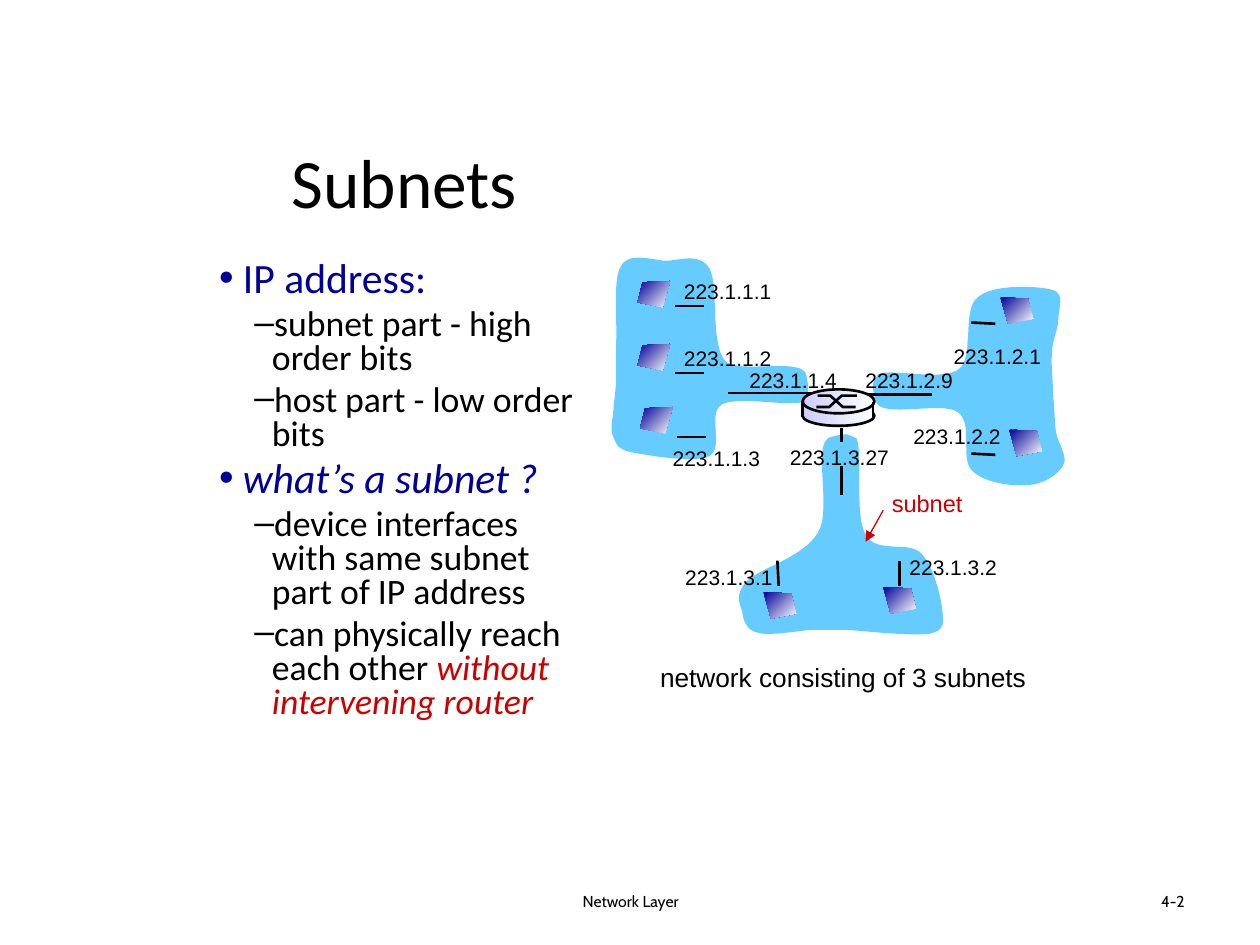
"""Build the Subnets slide: address notes beside a diagram of three subnets."""
from dataclasses import dataclass
from typing import NamedTuple, Optional

from lxml.etree import SubElement
from pptx import Presentation
from pptx.dml.color import RGBColor
from pptx.enum.shapes import MSO_CONNECTOR, MSO_SHAPE as Preset
from pptx.enum.text import MSO_ANCHOR as Anchor, PP_ALIGN as Align
from pptx.oxml.ns import qn
from pptx.util import Cm, Pt

Point = tuple[float, float]


@dataclass(frozen=True)
class Theme:
    """Colours, fonts and type sizes."""
    ink: str = "000000"
    navy: str = "000099"
    red: str = "CC0000"
    sky: str = "66CCFF"
    lilac: str = "CCCCFF"
    white: str = "FFFFFF"
    body_font: str = "Calibri"
    label_font: str = "Arial"
    footer_font: str = "Cabin"
    title: float = 39.6
    topic: float = 23.8
    detail: float = 20.4
    caption: float = 15
    tag: float = 13.5
    address: float = 12
    footer: float = 9
    stroke: float = 1.5


class Box(NamedTuple):
    """Left, top, width and height in inches."""
    left: float
    top: float
    width: float
    height: float


class Note(NamedTuple):
    """One bulleted paragraph, with an optional emphasised ending."""
    text: str
    is_topic: bool = False
    italic: bool = False
    ending: str = ""


class Host(NamedTuple):
    """Corner of a host icon and the way it leans."""
    left: float
    top: float
    mirrored: bool = False


class Link(NamedTuple):
    """A straight line between two points."""
    start: Point
    end: Point


class Address(NamedTuple):
    """An interface address and the corner of its label."""
    text: str
    left: float
    top: float
    width: float = 0.9


T = Theme()
FOOTERS = [("Network Layer", Box(3.42, 6.95, 3.17, 0.4), Align.CENTER),
           ("4-2", Box(7.17, 6.95, 2.33, 0.4), Align.RIGHT)]
NOTES = [
    Note("IP address:", True), Note("subnet part - high order bits"), Note("host part - low order bits"),
    Note("what’s a subnet ?", True, True), Note("device interfaces with same subnet part of IP address"),
    Note("can physically reach each other ", ending="without intervening router"),
]
CLOUDS: list[list[Point]] = [
    [(6.4, 2.98), (6.38, 2.83), (5.88, 2.97), (5.76, 2.87), (5.63, 2.73), (5.71, 2.27), (5.63, 2.13),
     (5.55, 2), (5.39, 2.07), (5.28, 2.07), (5.16, 2.06), (4.99, 2), (4.93, 2.11), (4.86, 2.21),
     (4.9, 2.56), (4.89, 2.71), (4.89, 2.85), (4.89, 2.89), (4.89, 2.98), (4.89, 3.06), (4.88, 3.14),
     (4.87, 3.22), (4.87, 3.3), (4.84, 3.39), (4.86, 3.45), (4.89, 3.51), (4.88, 3.56), (5.01, 3.59),
     (5.13, 3.61), (5.5, 3.68), (5.63, 3.62), (5.75, 3.55), (5.61, 3.28), (5.73, 3.21), (5.86, 3.14),
     (6.26, 3.23), (6.37, 3.19), (6.41, 3.12), (6.43, 3.13), (6.4, 2.98)],
    [(6.95, 3.18), (6.98, 3.33), (7.47, 3.18), (7.6, 3.27), (7.73, 3.36), (7.62, 3.63), (7.71, 3.73),
     (7.8, 3.83), (8.02, 3.86), (8.15, 3.85), (8.27, 3.85), (8.4, 3.77), (8.44, 3.69), (8.48, 3.62),
     (8.39, 3.51), (8.38, 3.42), (8.37, 3.33), (8.37, 3.26), (8.36, 3.15), (8.36, 3.05), (8.34, 2.91),
     (8.35, 2.8), (8.35, 2.7), (8.4, 2.62), (8.4, 2.53), (8.4, 2.45), (8.46, 2.33), (8.35, 2.3),
     (8.24, 2.27), (7.88, 2.25), (7.76, 2.36), (7.63, 2.46), (7.74, 2.83), (7.61, 2.93), (7.48, 3.03),
     (7.08, 2.92), (6.97, 2.97), (6.93, 3.04), (6.91, 3.03), (6.95, 3.18)],
    [(6.59, 3.47), (6.44, 3.51), (6.61, 4.05), (6.49, 4.23), (6.38, 4.42), (6.03, 4.51), (5.93, 4.61),
     (5.83, 4.71), (5.87, 4.79), (5.89, 4.85), (5.9, 4.92), (5.92, 5), (6.01, 5.02), (6.1, 5.05),
     (6.31, 5.01), (6.43, 5), (6.55, 5), (6.57, 5), (6.73, 5), (6.88, 5.01), (7.25, 5.05), (7.38, 5.03),
     (7.5, 5), (7.49, 4.95), (7.48, 4.85), (7.47, 4.74), (7.41, 4.49), (7.31, 4.39), (7.21, 4.29),
     (6.95, 4.4), (6.87, 4.24), (6.78, 4.09), (6.85, 3.61), (6.8, 3.48), (6.73, 3.45), (6.74, 3.43),
     (6.59, 3.47)],
]
LINKS = [
    Link((5.36, 2.43), (5.59, 2.43)), Link((5.36, 2.96), (5.59, 2.96)), Link((5.37, 3.47), (5.6, 3.47)),
    Link((5.78, 3.12), (6.45, 3.12)), Link((6.87, 3.13), (7.4, 3.13)), Link((7.71, 2.56), (7.9, 2.57)),
    Link((7.71, 3.6), (7.9, 3.61)), Link((6.68, 3.4), (6.68, 3.93)), Link((6.18, 4.65), (6.17, 4.45)),
    Link((7.14, 4.65), (7.14, 4.45)),
]
HOSTS = [
    Host(5.06, 2.23, True), Host(5.06, 2.73, True), Host(5.08, 3.23, True), Host(7.94, 2.36),
    Host(8.01, 3.41), Host(7.01, 4.66), Host(6.06, 4.7),
]
HOST_WIDTH = 0.26
HOST_OUTLINE: list[Point] = [(0, 0), (0.22, 0.01), (HOST_WIDTH, 0.17), (0.06, 0.21), (0, 0)]
ROUTER_BODY = [(Preset.OVAL, Box(6.37, 3.22, 0.57, 0.16), True),
               (Preset.RECTANGLE, Box(6.37, 3.2, 0.57, 0.1), False),
               (Preset.OVAL, Box(6.37, 3.09, 0.57, 0.19), True)]
ROUTER_ARMS: list[list[Point]] = [[(6.48, 3.23), (6.58, 3.23), (6.68, 3.14), (6.8, 3.14)],
                                  [(6.49, 3.14), (6.59, 3.14), (6.69, 3.23), (6.79, 3.23)]]
ROUTER_SIDES = [Link((6.37, 3.18), (6.37, 3.31)), Link((6.93, 3.19), (6.93, 3.31))]
LABEL_GAPS: list[Point] = [(5.46, 2.71), (7.68, 2.7), (7.67, 3.36), (6.57, 3.51)]
ADDRESSES = [
    Address("223.1.1.1", 5.33, 2.16), Address("223.1.1.2", 5.33, 2.69), Address("223.1.1.3", 5.24, 3.49),
    Address("223.1.1.4", 5.85, 2.87), Address("223.1.2.9", 6.77, 2.87), Address("223.1.2.1", 7.47, 2.68),
    Address("223.1.2.2", 7.15, 3.31), Address("223.1.3.27", 6.17, 3.48, 0.99),
    Address("223.1.3.1", 5.34, 4.43), Address("223.1.3.2", 7.12, 4.35),
]


def inches(value: float) -> Cm:
    """Convert inches to a length."""
    return Cm(value * 2.54)


def set_font(font, face: str, size: float, colour: Optional[str] = T.ink) -> None:
    """Apply face, size and, unless None, colour."""
    font.name, font.size = face, Pt(size)
    if colour:
        font.color.rgb = RGBColor.from_string(colour)


def paint(shape, fill: Optional[str] = None, fade: Optional[str] = None, angle: float = 0,
          outlined: bool = False) -> None:
    """Set a flat, fading or empty fill, and the outline."""
    shape.shadow.inherit = False
    if fade:
        shape.fill.gradient()
        shape.fill.gradient_angle = angle
        for stop, colour in zip(shape.fill.gradient_stops, (fill, fade)):
            stop.color.rgb = RGBColor.from_string(colour)
    elif fill:
        shape.fill.solid()
        shape.fill.fore_color.rgb = RGBColor.from_string(fill)
    else:
        shape.fill.background()
    if outlined:
        shape.line.color.rgb = RGBColor.from_string(T.ink)
        shape.line.width = Pt(T.stroke)
    else:
        shape.line.fill.background()


def add_text(shapes, text: str, box: Box, face: str, size: float, colour: str = T.ink,
             align: Align = Align.LEFT, anchor: Anchor = Anchor.TOP) -> None:
    """Add a one-line text box."""
    frame = shapes.add_textbox(*map(inches, box)).text_frame
    frame.word_wrap, frame.vertical_anchor = False, anchor
    line = frame.paragraphs[0]
    line.text, line.alignment = text, align
    set_font(line.font, face, size, colour)


def add_note(paragraph, note: Note, is_first: bool) -> None:
    """Fill one bulleted paragraph."""
    colour = T.navy if note.is_topic else T.ink
    margin, hanging = (0.19, -0.19) if note.is_topic else (0.42, -0.14)
    paragraph.level = 0 if note.is_topic else 1
    paragraph.line_spacing = 0.8
    if not is_first:
        paragraph.space_before = Pt(4.8 if note.is_topic else 4.1)
    props = paragraph._p.get_or_add_pPr()
    props.set("marL", str(inches(margin)))
    props.set("indent", str(inches(hanging)))
    SubElement(SubElement(props, qn("a:buClr")), qn("a:srgbClr"), val=colour)
    SubElement(props, qn("a:buFont"), typeface=T.label_font)
    SubElement(props, qn("a:buChar"), char="•" if note.is_topic else "–")
    size = T.topic if note.is_topic else T.detail
    set_font(paragraph.font, T.body_font, size, None if note.ending else colour)
    lead = paragraph.add_run()
    lead.text = note.text
    if note.ending:
        ending = paragraph.add_run()
        ending.text, ending.font.italic = note.ending, True
        lead.font.color.rgb = RGBColor.from_string(colour)
        ending.font.color.rgb = RGBColor.from_string(T.red)
    else:
        paragraph.font.italic = note.italic


def add_link(shapes, link: Link, colour: str = T.ink, width: float = T.stroke, arrow: bool = False) -> None:
    """Draw a straight line, with an arrowhead at its end if asked."""
    line = shapes.add_connector(MSO_CONNECTOR.STRAIGHT, *map(inches, link.start + link.end))
    line.line.color.rgb, line.line.width = RGBColor.from_string(colour), Pt(width)
    if arrow:
        SubElement(line.line._get_or_add_ln(), qn("a:tailEnd"), type="triangle")
    SubElement(line._element.spPr, qn("a:effectLst"))


def add_outline(shapes, points: list[Point], closed: bool = True):
    """Draw a polygon or an open polyline."""
    start, *rest = [(inches(x), inches(y)) for x, y in points]
    builder = shapes.build_freeform(*start)
    builder.add_line_segments(rest, close=closed)
    return builder.convert_to_shape()


def add_cloud(shapes, knots: list[Point]) -> None:
    """Draw a subnet area, turning each three segments into one Bézier curve."""
    cloud = add_outline(shapes, knots)
    segments = list(cloud._element.iter(qn("a:lnTo")))
    for first in range(0, len(knots) - 1, 3):
        bend, *others = segments[first:first + 3]
        bend.tag = qn("a:cubicBezTo")
        for other in others:
            bend.append(other[0])
            other.getparent().remove(other)
    paint(cloud, T.sky)


def add_host(shapes, host: Host) -> None:
    """Draw a leaning host icon."""
    corners = [(host.left + (HOST_WIDTH - x if host.mirrored else x), host.top + y) for x, y in HOST_OUTLINE]
    paint(add_outline(shapes, corners), T.navy, T.white, 315)


def add_router(shapes) -> None:
    """Draw the router drum with its crossed arms."""
    for preset, box, outlined in ROUTER_BODY:
        paint(shapes.add_shape(preset, *map(inches, box)), T.lilac, T.white, outlined=outlined)
    for arm in ROUTER_ARMS:
        paint(add_outline(shapes, arm, closed=False), outlined=True)
    for side in ROUTER_SIDES:
        add_link(shapes, side)


def add_title(title) -> None:
    """Place and format the slide title."""
    title.left, title.top, title.width, title.height = map(inches, Box(1.69, 1.12, 3.04, 0.63))
    title.text_frame.text = "Subnets"
    title.text_frame.vertical_anchor = Anchor.MIDDLE
    heading = title.text_frame.paragraphs[0]
    heading.alignment = Align.CENTER
    set_font(heading.font, T.body_font, T.title)


def main() -> None:
    """Build and save the slide."""
    deck = Presentation()
    deck.slide_width, deck.slide_height = inches(10), inches(7.5)
    slide = deck.slides.add_slide(deck.slide_layouts[5])
    shapes = slide.shapes
    add_title(shapes.title)
    for text, box, align in FOOTERS:
        add_text(shapes, text, box, T.footer_font, T.footer, align=align, anchor=Anchor.MIDDLE)
    body = shapes.add_textbox(*map(inches, Box(1.64, 2.03, 3.03, 3.81))).text_frame
    body.word_wrap = True
    for index, note in enumerate(NOTES):
        add_note(body.add_paragraph() if index else body.paragraphs[0], note, index == 0)
    add_text(shapes, "network consisting of 3 subnets", Box(5.14, 5.2, 3.14, 0.35), T.label_font, T.caption)
    for cloud in CLOUDS:
        add_cloud(shapes, cloud)
    for link in LINKS:
        add_link(shapes, link)
    for host in HOSTS:
        add_host(shapes, host)
    add_router(shapes)
    add_text(shapes, "subnet", Box(6.98, 3.83, 0.77, 0.33), T.label_font, T.tag, T.red)
    add_link(shapes, Link((7.01, 4.05), (6.87, 4.3)), T.red, 0.75, arrow=True)
    for left, top in LABEL_GAPS:
        paint(shapes.add_shape(Preset.RECTANGLE, *map(inches, Box(left, top, 0.24, 0.19))), T.sky)
    for address in ADDRESSES:
        box = Box(address.left, address.top, address.width, 0.3)
        add_text(shapes, address.text, box, T.label_font, T.address)
    deck.save("out.pptx")


if __name__ == "__main__":
    main()
